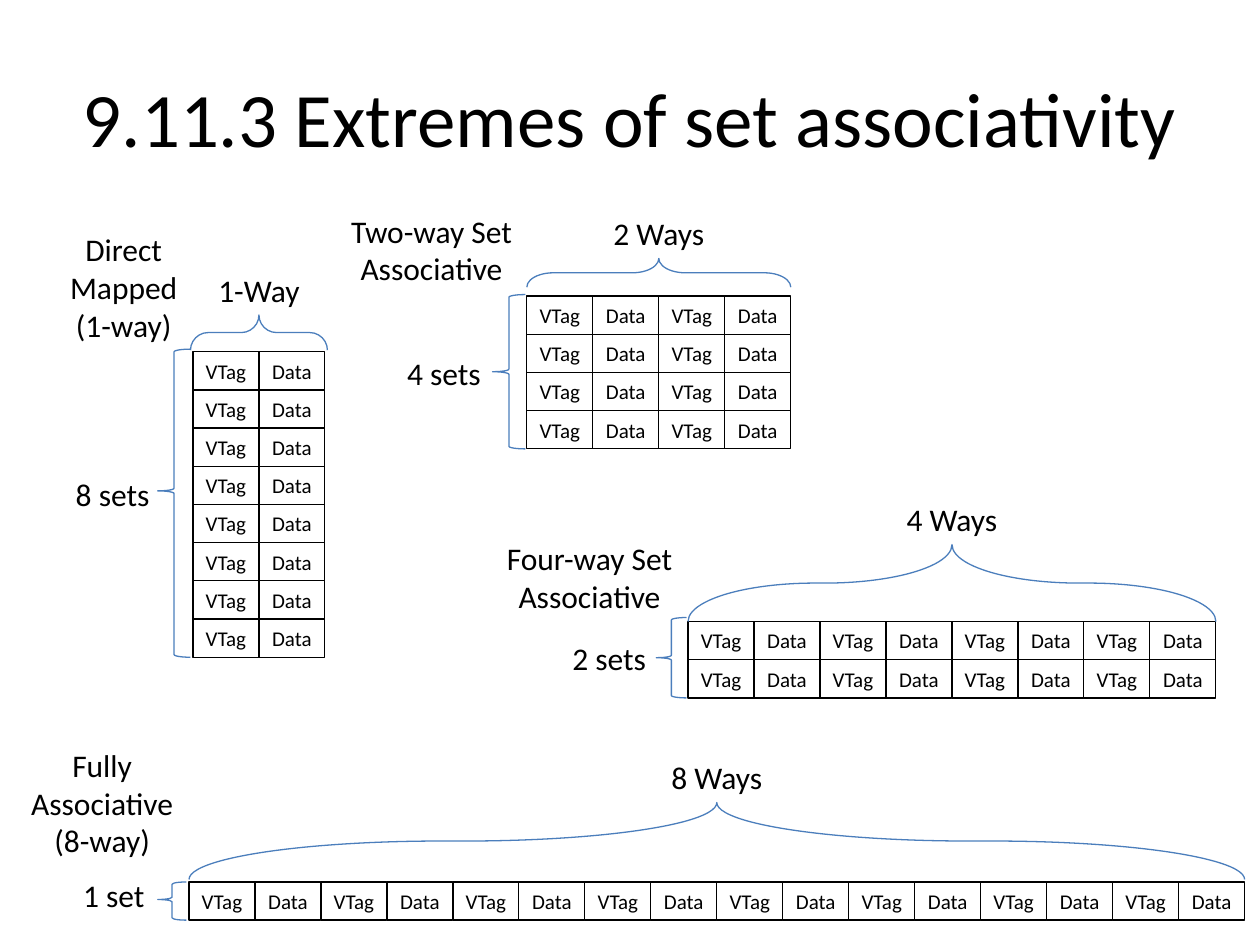
from dataclasses import dataclass

from pptx import Presentation
from pptx.dml.color import RGBColor as RGB
from pptx.enum.shapes import MSO_SHAPE as Shape
from pptx.enum.text import MSO_ANCHOR as Anchor, PP_ALIGN as Align
from pptx.util import Cm, Pt


@dataclass(frozen=True)
class Theme:
    font: str = "Calibri"
    ink: RGB = RGB(0, 0, 0)
    brace: RGB = RGB(0x4B, 0x7E, 0xBC)
    title: int = 44
    label: int = 18
    cell: int = 12
    line: float = 0.75


@dataclass(frozen=True)
class Cache:
    """One cache layout; all lengths in cm, offsets from the grid's corner."""
    name: str
    way: str
    sets: str
    ways: int
    rows: int
    grid: tuple        # left, top
    name_at: tuple     # dx, dy, width
    sets_at: tuple     # dx, dy, width
    top: tuple         # brace overhang, gap to the grid, height, curl
    side: tuple        # brace rise, gap to the grid, width, point


THEME = Theme()
CELL_W, CELL_H = 1.33, 0.77
LINE_H, PAD = 0.77, 0.25

CACHES = [
    Cache("Direct\nMapped\n(1-way)", "1-Way", "8 sets", 1, 8, (3.89, 7.09),
          (-2.74, -2.57, 2.69), (-2.62, 2.36, 2.0),
          (0.05, 0.03, 0.71, 0.5), (0.05, 0.05, 0.66, 0.46)),
    Cache("Two-way Set\nAssociative", "2 Ways", "4 sets", 2, 4, (10.62, 5.97),
          (-3.81, -1.83, 3.78), (-2.67, 1.04, 2.0),
          (0, 0.18, 0.58, 0.92), (0.03, 0.03, 0.66, 0.5)),
    Cache("Four-way Set\nAssociative", "4 Ways", "2 sets", 4, 2, (13.87, 12.53),
          (-3.94, -1.78, 3.91), (-2.59, 0.23, 2.0),
          (0, 0, 1.55, 1.65), (0.08, 0.03, 0.61, 0.5)),
    Cache("Fully\nAssociative\n(8-way)", "8 Ways", "1 set", 8, 1, (3.81, 17.78),
          (-3.45, -2.87, 3.4), (-2.39, -0.25, 1.75),
          (0, 0.05, 1.55, 3.28), (0, 0.05, 0.58, 0.46)),
]


def style(frame, text, size):
    frame.text = text
    frame.word_wrap = False
    for para in frame.paragraphs:
        para.alignment = Align.CENTER
        para.font.name = THEME.font
        para.font.size = Pt(size)
        para.font.color.rgb = THEME.ink


def outline(kind, shapes, box, color):
    shape = shapes.add_shape(kind, *map(Cm, box))
    shape.shadow.inherit = False
    shape.fill.background()
    shape.line.color.rgb = color
    shape.line.width = Pt(THEME.line)
    return shape


def add_label(shapes, left, top, width, text):
    high = LINE_H * len(text.split("\n")) + PAD
    box = shapes.add_textbox(*map(Cm, (left, top, width, high)))
    style(box.text_frame, text, THEME.label)


def add_brace(shapes, box, curl=0.08, point=0.5, over=False):
    """Left brace filling the box, or one lying over what is below it."""
    left, top, wide, high = box
    if over:
        box = (left + (wide - high) / 2, top + (high - wide) / 2, high, wide)
    brace = outline(Shape.LEFT_BRACE, shapes, box, THEME.brace)
    brace.adjustments[0] = curl
    brace.adjustments[1] = point
    if over:
        brace.rotation = 90


def add_grid(shapes, left, top, ways, rows):
    for row in range(rows):
        for col in range(2 * ways):
            box = (left + col * CELL_W, top + row * CELL_H, CELL_W, CELL_H)
            cell = outline(Shape.RECTANGLE, shapes, box, THEME.ink)
            frame = cell.text_frame
            frame.vertical_anchor = Anchor.MIDDLE
            style(frame, ("VTag", "Data")[col % 2], THEME.cell)


def add_cache(slide, cache):
    shapes = slide.shapes.add_group_shape().shapes
    left, top = cache.grid
    wide, high = 2 * cache.ways * CELL_W, cache.rows * CELL_H
    add_grid(shapes, left, top, cache.ways, cache.rows)

    over, gap, tall, curl = cache.top
    peak = top - gap - tall
    add_brace(shapes, (left - over, peak, wide + 2 * over, tall), curl, over=True)
    way_w = 2.36
    add_label(shapes, left + (wide - way_w) / 2, peak - LINE_H - PAD, way_w, cache.way)

    rise, gap, thick, point = cache.side
    add_brace(shapes, (left - gap - thick, top - rise, thick, high + rise), point=point)
    for text, (dx, dy, width) in ((cache.sets, cache.sets_at), (cache.name, cache.name_at)):
        add_label(shapes, left + dx, top + dy, width, text)


def add_title(slide, box, text):
    title = slide.shapes.title
    title.left, title.top, title.width, title.height = map(Cm, box)
    title.text_frame.vertical_anchor = Anchor.MIDDLE
    style(title.text_frame, text, THEME.title)
    title.text_frame.word_wrap = True


def main():
    deck = Presentation()
    deck.slide_width, deck.slide_height = Cm(25.4), Cm(19.05)
    slide = deck.slides.add_slide(deck.slide_layouts[5])
    add_title(slide, (1.27, 0.76, 22.86, 3.18), "9.11.3 Extremes of set associativity")
    for cache in CACHES:
        add_cache(slide, cache)
    deck.save("out.pptx")


if __name__ == "__main__":
    main()
